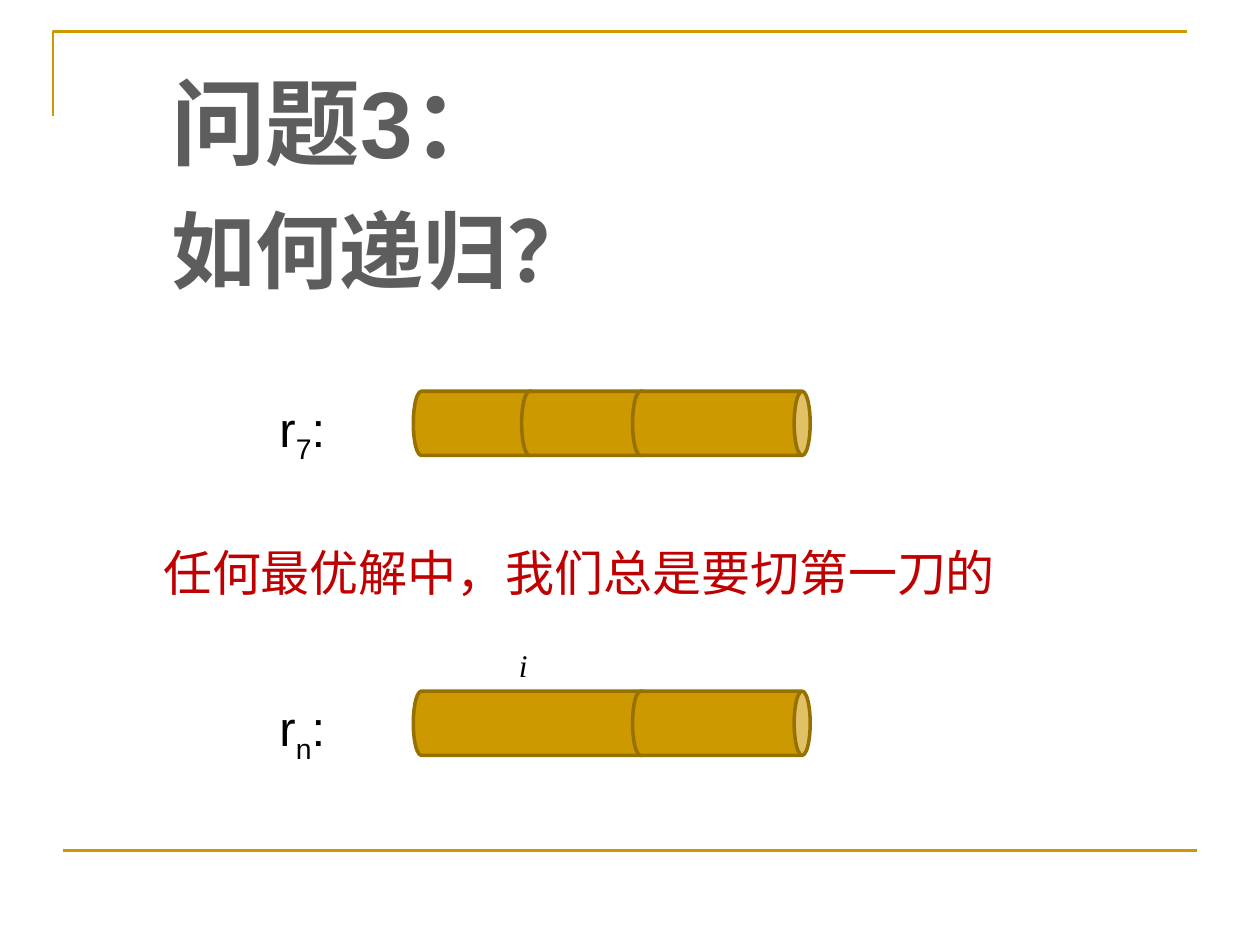
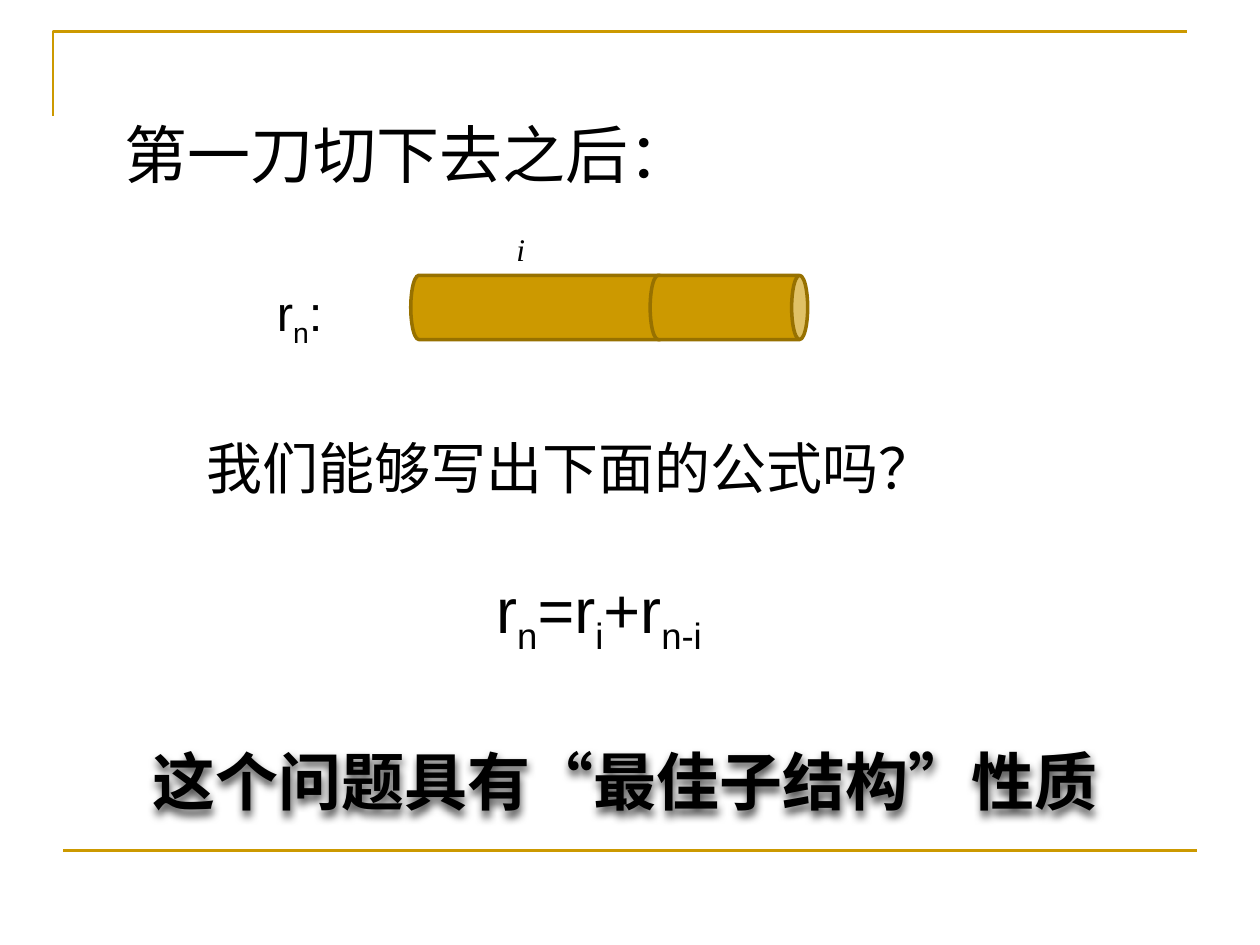
from itertools import zip_longest

from lxml.etree import SubElement
from pptx import Presentation
from pptx.dml.color import RGBColor
from pptx.enum.shapes import MSO_CONNECTOR, MSO_SHAPE
from pptx.enum.text import MSO_ANCHOR, MSO_AUTO_SIZE, PP_ALIGN
from pptx.oxml.ns import qn
from pptx.util import Inches, Pt

GOLD = RGBColor(0xCC, 0x99, 0x00)
DARK_GOLD = RGBColor(0x97, 0x71, 0x00)
GREY = RGBColor(0x5D, 0x5D, 0x5D)
RED = RGBColor(0xC0, 0x00, 0x00)
BLACK = RGBColor(0, 0, 0)
WHITE = RGBColor(0xFF, 0xFF, 0xFF)
LATIN, HAN, SERIF = "Arial", "Noto Sans CJK JP", "Times New Roman"

# Content: a line is a list of (text, is_subscript); lengths are in inches
SLIDES = [
    {
        "title": {"at": (1.26, 0.46, 3.59, 1.99), "bold": True, "color": GREY,
                  "lines": [([("问题3：", False)], 54),
                            ([("如何递归？", False)], 48)]},
        "rods": [
            {"left": 3.28, "middle": 3.36, "cuts": [0.86, 1.74], "index": "7", "first": None},
            {"left": 3.28, "middle": 5.74, "cuts": [1.74], "index": "n", "first": "i"},
        ],
        "texts": [
            {"at": (-0.01, 4.26, 9.21, 0.57), "color": RED, "latin": HAN,
             "align": PP_ALIGN.CENTER, "wrap": True,
             "lines": [([("任何最优解中，我们总是要切第一刀的", False)], 28)]},
        ],
    },
    {
        "title": {"at": (0.89, 0.87, 4.75, 0.71),
                  "lines": [([("第一刀切下去之后：", False)], 36)]},
        "rods": [
            {"left": 3.26, "middle": 2.44, "cuts": [1.9], "index": "n", "first": "i"},
        ],
        "texts": [
            {"at": (3.84, 4.48, 1.97, 0.71), "fill": WHITE,
             "lines": [([("r", False), ("n", True), ("=r", False), ("i", True),
                         ("+r", False), ("n-i", True)], 36)]},
            {"at": (1.54, 3.39, 6.04, 0.64),
             "lines": [([("我们能够写出下面的公式吗？", False)], 32)]},
            {"at": (1.11, 5.84, 7.78, 0.71), "bold": True, "shadow": True,
             "lines": [([("这个问题具有“最佳子结构”性质", False)], 36)]},
        ],
    },
]

ROD_LENGTH, ROD_THICKNESS, OVERLAP = 3.15, 0.51, 0.14


def write(box, lines, color=BLACK, latin=LATIN, bold=False, italic=False,
          align=PP_ALIGN.LEFT, wrap=False):
    """Fill a text frame run by run."""
    frame = box.text_frame
    frame.word_wrap = wrap
    frame.auto_size = MSO_AUTO_SIZE.SHAPE_TO_FIT_TEXT
    frame.vertical_anchor = MSO_ANCHOR.TOP
    for number, (parts, size) in enumerate(lines):
        para = frame.add_paragraph() if number else frame.paragraphs[0]
        para.alignment = align
        para.space_before = Pt(12 if number else 0)
        for text, is_subscript in parts:
            span = para.add_run()
            span.text = text
            font = span.font
            font.name, font.size, font.bold, font.italic = latin, Pt(size), bold, italic
            font.color.rgb = color
            properties = span._r.get_or_add_rPr()
            SubElement(properties, qn("a:ea")).set("typeface", HAN)
            if is_subscript:
                properties.set("baseline", "-25000")


def add_text(page, at, lines, fill=None, shadow=False, **style):
    box = page.shapes.add_textbox(*map(Inches, at))
    if fill is not None:
        box.fill.solid()
        box.fill.fore_color.rgb = fill
    if shadow:
        effects = SubElement(box._element.spPr, qn("a:effectLst"))
        outer = SubElement(effects, qn("a:outerShdw"), blurRad=str(Pt(5)),
                           dist=str(Pt(3)), dir="5400000", algn="tl")
        tint = SubElement(outer, qn("a:srgbClr"), val=str(BLACK))
        SubElement(tint, qn("a:alpha"), val="70000")
    write(box, lines, **style)


def add_title(page, at, lines, **style):
    title = page.shapes.title
    title.left, title.top, title.width, title.height = map(Inches, at)
    write(title, lines, **style)


def add_frame(page):
    """Corner bracket at the top and rule at the bottom."""
    pen = page.shapes.build_freeform(Inches(0.42), Inches(0.92))
    pen.add_line_segments([(Inches(0.42), Inches(0.25)), (Inches(9.42), Inches(0.25))],
                          close=False)
    bracket = pen.convert_to_shape()
    bracket.shadow.inherit = False
    bracket.fill.background()
    rule = page.shapes.add_connector(MSO_CONNECTOR.STRAIGHT, Inches(0.5), Inches(6.75),
                                     Inches(9.5), Inches(6.75))
    SubElement(rule._element.spPr, qn("a:effectLst"))
    for part in (bracket, rule):
        part.line.color.rgb = GOLD
        part.line.width = Pt(1.5)


def add_rod(page, left, middle, cuts, index, first):
    """Lay cans end to end; each reaches a little under the next one."""
    for start, cut in zip_longest([0, *cuts], cuts):
        length = (ROD_LENGTH if cut is None else cut + OVERLAP) - start
        center = left + start + length / 2
        can = page.shapes.add_shape(
            MSO_SHAPE.CAN, Inches(center - ROD_THICKNESS / 2), Inches(middle - length / 2),
            Inches(ROD_THICKNESS), Inches(length))
        can.rotation = 90
        can.shadow.inherit = False
        can.fill.solid()
        can.fill.fore_color.rgb = GOLD
        can.line.color.rgb = DARK_GOLD
        can.line.width = Pt(2)
    add_text(page, (left - 1.16, middle - 0.25, 0.87, 0.57),
             [([("r", False), (index, True), (":", False)], 28)], wrap=True)
    if first:
        add_text(page, (left + 0.74, middle - 0.66, 0.27, 0.4),
                 [([(first, False)], 18)], latin=SERIF, italic=True)


def main():
    deck = Presentation()
    deck.slide_width, deck.slide_height = Inches(10), Inches(7.5)
    title_only = deck.slide_layouts[5]
    for content in SLIDES:
        page = deck.slides.add_slide(title_only)
        add_frame(page)
        add_title(page, **content["title"])
        for rod in content["rods"]:
            add_rod(page, **rod)
        for text in content["texts"]:
            add_text(page, **text)
    deck.save("out.pptx")


if __name__ == "__main__":
    main()
